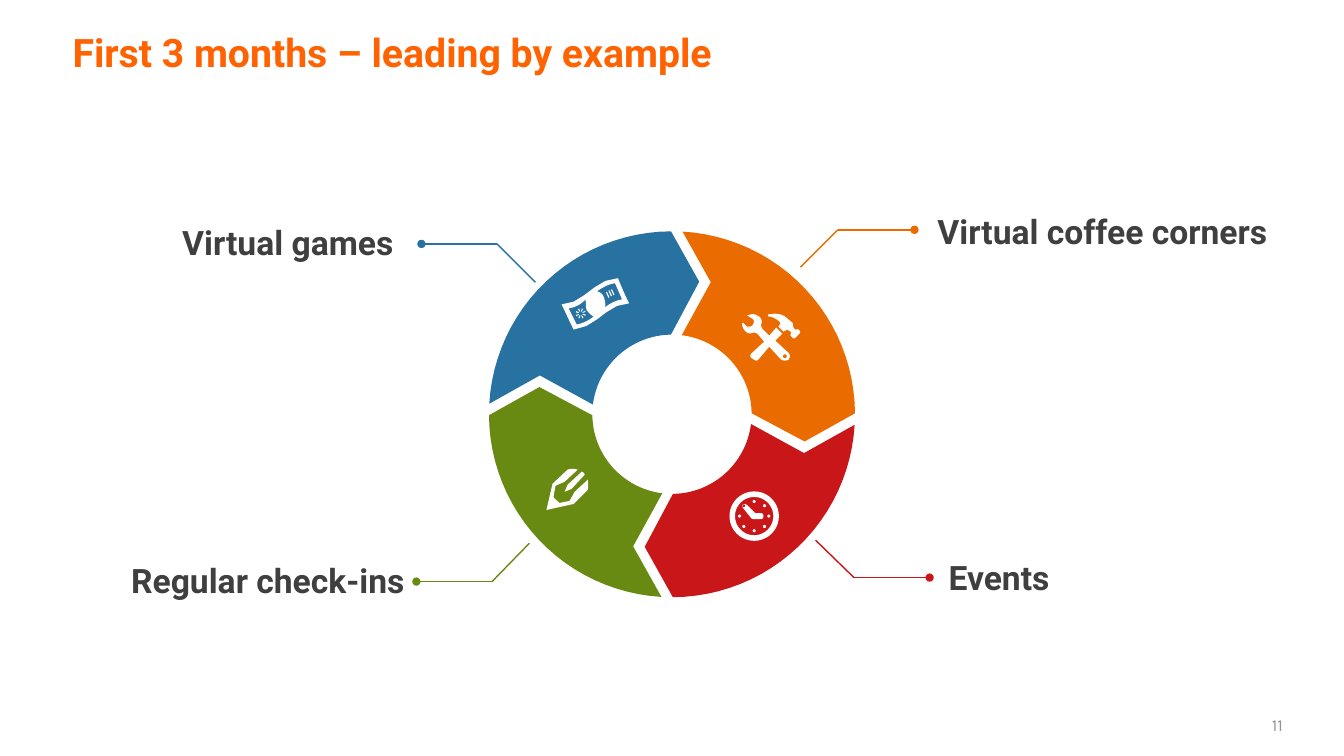
from math import cos, sin, radians

from lxml.etree import SubElement
from pptx import Presentation
from pptx.dml.color import RGBColor
from pptx.enum.shapes import MSO_CONNECTOR
from pptx.enum.text import MSO_ANCHOR, MSO_AUTO_SIZE, PP_ALIGN
from pptx.oxml.ns import qn
from pptx.util import Inches, Pt

COLORS = {
    "orange": "EA6C00", "red": "C91719", "green": "698A12", "blue": "2872A1",
    "white": "FFFFFF", "title": "FF6200", "label": "3F3F3F", "number": "939393",
}
LABEL = {"name": "Roboto", "size": Pt(24), "bold": True}
TITLE = {"name": "Roboto", "size": Pt(28), "bold": True}
NUMBER = {"name": "Karla", "size": Pt(12)}
HUB = (6.665, 4.11)
OUTER, INNER = 1.815, 0.79


def color(name):
    return RGBColor.from_string(COLORS[name])


def arc(mid, radius, start, end, steps=24):
    """Points along an arc, in degrees clockwise from the right."""
    angles = [radians(start + (end - start) * i / steps) for i in range(steps + 1)]
    return [(mid[0] + radius * cos(a), mid[1] + radius * sin(a)) for a in angles]


def trace(start, *steps):
    """Points of an outline: two numbers are a line, six a Bezier curve."""
    points = [start]
    for step in steps:
        if len(step) == 2:
            points.append(step)
            continue
        ends = [points[-1], step[:2], step[2:4], step[4:]]
        for t in (0.2, 0.4, 0.6, 0.8, 1):
            parts = ((1 - t) ** 3, 3 * t * (1 - t) ** 2, 3 * t * t * (1 - t), t ** 3)
            points.append(tuple(sum(w * p[axis] for w, p in zip(parts, ends))
                                for axis in (0, 1)))
    return points


def draw(slide, fill, *outlines):
    """One filled shape; an outline inside another cuts a hole."""
    outlines = [[(Inches(x), Inches(y)) for x, y in line] for line in outlines]
    pen = slide.shapes.build_freeform(*outlines[0][0], scale=1.0)
    for i, line in enumerate(outlines):
        if i:
            pen.move_to(*line[0])
        pen.add_line_segments(line[1:], close=True)
    shape = pen.convert_to_shape()
    shape.shadow.inherit = False
    shape.fill.solid()
    shape.fill.fore_color.rgb = color(fill)
    shape.line.fill.background()


def add_ring(slide):
    """Four arrow segments, each a quarter turn on from the last."""
    base = (arc((0, 0), INNER, -83, -0.7) + [(1.315, 0.27)]
            + arc((0, 0), OUTER, -0.3, -86.7) + [(0.385, -1.31)])
    for fill in ("orange", "red", "green", "blue"):
        draw(slide, fill, [(HUB[0] + x, HUB[1] + y) for x, y in base])
        base = [(-y, x) for x, y in base]


def add_clock(slide):
    mid = (7.48, 5.12)
    hands = trace((7.55, 5.09), (7.49, 5.09), (7.41, 5.01),
                  (7.38, 4.98, 7.35, 5.02, 7.37, 5.04), (7.45, 5.14),
                  (7.46, 5.15, 7.47, 5.15, 7.47, 5.15), (7.55, 5.15),
                  (7.58, 5.15, 7.58, 5.09, 7.55, 5.09))
    dots = [arc(spot, 0.015, 0, 360, 12) for spot in arc(mid, 0.145, 0, 315, 7)]
    draw(slide, "white", arc(mid, 0.245, 0, 360, 48), arc(mid, 0.19, 0, 360, 48),
         hands, *dots)


def add_bill(slide):
    edge = trace((6.13, 2.76), (6.16, 2.84, 6.2, 2.93, 6.24, 3.01),
                 (6.02, 3.01, 5.92, 3.25, 5.69, 3.27),
                 (5.65, 3.19, 5.61, 3.1, 5.57, 3.02),
                 (5.79, 3.02, 5.9, 2.76, 6.13, 2.76))
    left = trace((5.72, 3.22), (5.78, 3.21, 5.84, 3.18, 5.89, 3.14),
                 (5.86, 3.13, 5.84, 3.1, 5.82, 3.08),
                 (5.81, 3.05, 5.81, 3.01, 5.81, 2.97),
                 (5.76, 3.02, 5.71, 3.05, 5.64, 3.06))
    right = trace((6.1, 2.81), (6.03, 2.82, 5.98, 2.85, 5.92, 2.89),
                  (5.96, 2.9, 5.98, 2.92, 5.99, 2.95),
                  (6, 2.98, 6.01, 3.02, 6, 3.05),
                  (6.05, 3.01, 6.11, 2.98, 6.17, 2.97))
    sun = (5.76, 3.11)
    rays = [arc(sun, 0.02, a - 8, a + 8, 1) + arc(sun, 0.05, a + 8, a - 8, 1)
            for a in range(20, 380, 45)]
    bars = [[(x, y), (x + 0.01, y - 0.005), (x + 0.035, y + 0.05), (x + 0.025, y + 0.055)]
            for x, y in ((6.01, 2.9), (6.035, 2.885), (6.06, 2.875))]
    draw(slide, "white", edge, left, right, *rays, *bars)


def add_tools(slide):
    wrench = trace((7.82, 3.5), (7.84, 3.52, 7.84, 3.55, 7.82, 3.57),
                   (7.8, 3.58, 7.77, 3.58, 7.75, 3.57), (7.63, 3.44), (7.52, 3.57),
                   (7.51, 3.58, 7.49, 3.58, 7.48, 3.57), (7.45, 3.55),
                   (7.44, 3.54, 7.44, 3.52, 7.45, 3.51), (7.58, 3.39), (7.52, 3.32),
                   (7.5, 3.3, 7.49, 3.3, 7.47, 3.3),
                   (7.45, 3.31, 7.43, 3.31, 7.41, 3.3),
                   (7.36, 3.27, 7.36, 3.21, 7.36, 3.21), (7.37, 3.2), (7.41, 3.24),
                   (7.42, 3.24, 7.45, 3.25, 7.47, 3.22),
                   (7.49, 3.18, 7.47, 3.17, 7.46, 3.16), (7.41, 3.13), (7.42, 3.13),
                   (7.42, 3.13, 7.47, 3.1, 7.51, 3.13), (7.53, 3.14),
                   (7.56, 3.17, 7.56, 3.19, 7.55, 3.22),
                   (7.55, 3.24, 7.55, 3.25, 7.57, 3.27), (7.63, 3.33), (7.7, 3.25),
                   (7.76, 3.31), (7.69, 3.38))
    hammer = trace((7.93, 3.31), (7.89, 3.35), (7.88, 3.36, 7.87, 3.36, 7.86, 3.35),
                   (7.85, 3.34), (7.84, 3.33, 7.84, 3.32, 7.84, 3.32),
                   (7.85, 3.31, 7.85, 3.3, 7.84, 3.29),
                   (7.82, 3.27, 7.8, 3.27, 7.79, 3.28), (7.77, 3.29), (7.72, 3.24),
                   (7.73, 3.23), (7.75, 3.2, 7.73, 3.19, 7.73, 3.19),
                   (7.68, 3.14, 7.62, 3.14, 7.62, 3.14), (7.62, 3.12),
                   (7.75, 3.09, 7.8, 3.15, 7.82, 3.17),
                   (7.84, 3.18, 7.85, 3.2, 7.86, 3.2),
                   (7.87, 3.22, 7.86, 3.25, 7.88, 3.26),
                   (7.88, 3.27, 7.89, 3.27, 7.9, 3.27),
                   (7.91, 3.26, 7.92, 3.27, 7.92, 3.27), (7.93, 3.28),
                   (7.94, 3.29, 7.94, 3.3, 7.93, 3.31))
    draw(slide, "white", wrench, hammer, arc((7.785, 3.535), 0.02, 0, 360, 12))


def add_pencil(slide):
    body = trace((5.48, 4.8), (5.63, 4.66), (5.63, 4.66, 5.68, 4.64, 5.73, 4.66),
                 (5.6, 4.78), (5.51, 4.82), (5.49, 4.93),
                 (5.51, 4.96, 5.53, 4.97, 5.55, 4.99), (5.65, 4.97), (5.7, 4.88),
                 (5.83, 4.76), (5.84, 4.81, 5.83, 4.86, 5.83, 4.86), (5.69, 5),
                 (5.42, 5.06))
    stripe = trace((5.63, 4.81), (5.77, 4.68), (5.78, 4.68, 5.8, 4.7, 5.8, 4.71),
                   (5.67, 4.85), (5.6, 4.88))
    draw(slide, "white", body, stripe)


def add_lead(slide, hue, *stops):
    """A bent line that ends in a dot."""
    for start, end in zip(stops, stops[1:]):
        line = slide.shapes.add_connector(
            MSO_CONNECTOR.STRAIGHT, *(Inches(v) for v in start + end))
        line.line.color.rgb = color(hue)
        line.line.width = Pt(1)
        props = line._element.spPr
        if end == stops[-1]:
            SubElement(props.find(qn("a:ln")), qn("a:tailEnd"), type="oval")
        SubElement(props, qn("a:effectLst"))


def add_text(slide, text, place, style, hue, align=PP_ALIGN.LEFT):
    box = slide.shapes.add_textbox(*(Inches(v) for v in place))
    frame = box.text_frame
    frame.word_wrap = True
    para = frame.paragraphs[0]
    para.alignment = align
    run = para.add_run()
    run.text = text
    for key, value in style.items():
        setattr(run.font, key, value)
    run.font.color.rgb = color(hue)
    return frame


def main():
    deck = Presentation()
    deck.slide_width, deck.slide_height = Inches(13.33), Inches(7.5)
    slide = deck.slides.add_slide(deck.slide_layouts[6])
    add_ring(slide)
    for icon in (add_clock, add_bill, add_tools, add_pencil):
        icon(slide)
    left, right = PP_ALIGN.LEFT, PP_ALIGN.RIGHT
    for text, place, align, hue, *stops in (
        ("Virtual coffee corners", (9.2, 2.04, 4.04, 0.5), left, "orange",
         (7.94, 2.65), (8.31, 2.28), (9.07, 2.28)),
        ("Virtual games", (1.13, 2.15, 2.87, 0.5), right, "blue",
         (5.31, 2.8), (4.93, 2.42), (4.18, 2.42)),
        ("Events", (9.31, 5.48, 2.87, 0.5), left, "red",
         (8.09, 5.36), (8.47, 5.73), (9.22, 5.73)),
        ("Regular check-ins", (0.96, 5.51, 3.15, 0.5), right, "green",
         (5.25, 5.39), (4.88, 5.77), (4.13, 5.77)),
    ):
        add_lead(slide, hue, *stops)
        frame = add_text(slide, text, place, LABEL, "label", align)
        frame.auto_size = MSO_AUTO_SIZE.SHAPE_TO_FIT_TEXT
    page = add_text(slide, "11", (12.32, 6.99, 0.7, 0.4), NUMBER, "number", PP_ALIGN.CENTER)
    page.vertical_anchor = MSO_ANCHOR.MIDDLE
    title = add_text(slide, "First 3 months – leading by example",
                     (0.72, 0.36, 11.89, 0.89), TITLE, "title")
    for side in ("left", "top", "right", "bottom"):
        setattr(title, "margin_" + side, 0)
    title.paragraphs[0].line_spacing = 0.83
    deck.save("out.pptx")


if __name__ == "__main__":
    main()
